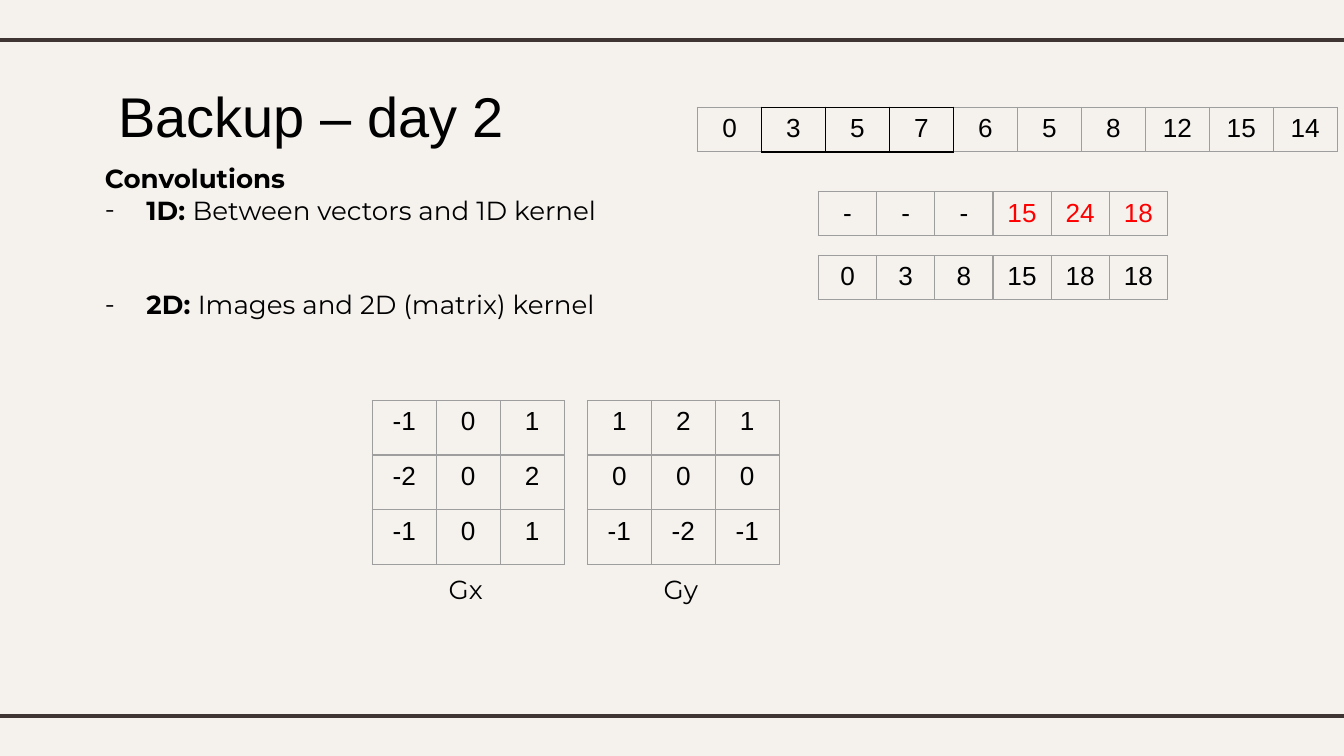
"""Build the backup slide on 1D and 2D convolutions."""
from dataclasses import dataclass

from lxml.etree import SubElement
from pptx import Presentation
from pptx.dml.color import RGBColor
from pptx.enum.shapes import MSO_CONNECTOR
from pptx.enum.text import MSO_ANCHOR, MSO_AUTO_SIZE, PP_ALIGN
from pptx.oxml.ns import qn
from pptx.util import Inches, Pt


@dataclass(frozen=True)
class Theme:
    background: str = "F5F2EE"
    rule: str = "3F3533"
    text: str = "000000"
    accent: str = "FF0000"
    grid: str = "9E9E9E"
    title_font: str = "Arial"
    body_font: str = "Montserrat"
    title_size: int = 30
    body_size: int = 14
    rule_width: float = 2.25
    grid_width: float = 0.75
    window_width: float = 1


THEME = Theme()
UNIT = Inches(10) // 100
COLUMNS, ROWS = 100, 56.25
INDENT = 3.1
RULE_ROWS = (3, 53.3)
RULE_OVERHANG = 0.8
WIDE, NARROW = 4.76, 4.33
STRIP_HEIGHT, MATRIX_HEIGHT = 3.3, 4.06

TITLE = "Backup – day 2"
TITLE_BOX = (7.8, 5.1, 49, 6.3)
BODY_BOX = (6.8, 11.1, 54.2, 15)
BODY = [
    ("Convolutions", "", False, 0),
    ("1D: ", "Between vectors and 1D kernel", True, 0),
    ("2D: ", "Images and 2D (matrix) kernel", True, 34),
]
STRIPS = [
    (51.9, 8, WIDE, [0, 3, 5, 7, 6, 5, 8, 12, 15, 14], ()),
    (60.9, 14.25, NARROW, ["-", "-", "-", 15, 24, 18], (3, 4, 5)),
    (60.9, 19, NARROW, [0, 3, 8, 15, 18, 18], ()),
]
WINDOW_START, WINDOW_CELLS = 1, 3
MATRIX_LEFT, MATRIX_TOP, MATRIX_STEP = 27.7, 29.8, 16
LABEL_OFFSET, LABEL_TOP = 4.7, 41.7
MATRICES = {
    "Gx": [[-1, 0, 1], [-2, 0, 2], [-1, 0, 1]],
    "Gy": [[1, 2, 1], [0, 0, 0], [-1, -2, -1]],
}


def units(*values):
    return [round(value * UNIT) for value in values]


def add_run(paragraph, text, font=THEME.body_font, size=THEME.body_size, color=THEME.text, bold=False):
    run = paragraph.add_run()
    run.text = text
    run.font.name, run.font.size, run.font.bold = font, Pt(size), bold
    run.font.color.rgb = RGBColor.from_string(color)


def prepare_frame(shape, box):
    shape.left, shape.top, shape.width, shape.height = units(*box)
    frame = shape.text_frame
    frame.word_wrap, frame.auto_size = True, MSO_AUTO_SIZE.NONE
    frame.vertical_anchor = MSO_ANCHOR.TOP
    frame.margin_left = frame.margin_right = frame.margin_top = frame.margin_bottom = UNIT
    return frame


def set_bullet(paragraph, bulleted):
    properties = paragraph._p.get_or_add_pPr()
    indent = units(INDENT)[0] if bulleted else 0
    properties.set("marL", str(indent))
    properties.set("indent", str(-indent))
    if bulleted:
        SubElement(properties, qn("a:buFont"), typeface=THEME.body_font)
        SubElement(properties, qn("a:buChar"), char="-")
    else:
        SubElement(properties, qn("a:buNone"))


def set_borders(cell, color, width):
    properties = cell._tc.get_or_add_tcPr()
    for position, side in enumerate(("a:lnL", "a:lnR", "a:lnT", "a:lnB")):
        line = SubElement(properties, qn(side), w=str(Pt(width)))
        SubElement(SubElement(line, qn("a:solidFill")), qn("a:srgbClr"), val=color)
        properties.insert(position, line)


def add_grid(slide, left, top, column, row, values, red=(), border=THEME.grid, width=THEME.grid_width):
    rows, columns = len(values), len(values[0])
    box = units(left, top, column * columns, row * rows)
    table = slide.shapes.add_table(rows, columns, *box).table
    table.first_row = table.horz_banding = False
    for row_index, row_values in enumerate(values):
        for column_index, value in enumerate(row_values):
            cell = table.cell(row_index, column_index)
            cell.fill.background()
            set_borders(cell, border, width)
            if value is None:
                cell.margin_top = cell.margin_bottom = 0
                continue
            paragraph = cell.text_frame.paragraphs[0]
            paragraph.alignment = PP_ALIGN.CENTER
            color = THEME.accent if column_index in red else THEME.text
            add_run(paragraph, str(value), THEME.title_font, color=color)


def add_rule(slide, row):
    start, end, height = units(-RULE_OVERHANG, COLUMNS + RULE_OVERHANG, row)
    rule = slide.shapes.add_connector(MSO_CONNECTOR.STRAIGHT, start, height, end, height)
    rule.line.color.rgb = RGBColor.from_string(THEME.rule)
    rule.line.width = Pt(THEME.rule_width)
    SubElement(rule._element.spPr, qn("a:effectLst"))


def main():
    presentation = Presentation()
    presentation.slide_width, presentation.slide_height = units(COLUMNS, ROWS)
    slide = presentation.slides.add_slide(presentation.slide_layouts[1])
    slide.background.fill.solid()
    slide.background.fill.fore_color.rgb = RGBColor.from_string(THEME.background)
    for row in RULE_ROWS:
        add_rule(slide, row)

    title = prepare_frame(slide.shapes.title, TITLE_BOX).paragraphs[0]
    title.alignment = PP_ALIGN.LEFT
    add_run(title, TITLE, THEME.title_font, THEME.title_size)

    body = prepare_frame(slide.placeholders[1], BODY_BOX)
    for index, (lead, rest, bulleted, space) in enumerate(BODY):
        paragraph = body.add_paragraph() if index else body.paragraphs[0]
        paragraph.space_before = Pt(space)
        set_bullet(paragraph, bulleted)
        add_run(paragraph, lead, bold=True)
        if rest:
            add_run(paragraph, rest)

    for left, top, column, values, red in STRIPS:
        add_grid(slide, left, top, column, STRIP_HEIGHT, [values], red)
    left, top, column = STRIPS[0][:3]
    add_grid(slide, left + WINDOW_START * column, top, column, STRIP_HEIGHT,
             [[None] * WINDOW_CELLS], border=THEME.text, width=THEME.window_width)

    for index, (name, values) in enumerate(MATRICES.items()):
        left = MATRIX_LEFT + index * MATRIX_STEP
        add_grid(slide, left, MATRIX_TOP, WIDE, MATRIX_HEIGHT, values)
        box = (left + LABEL_OFFSET, LABEL_TOP, 4.9, 4)
        label = slide.shapes.add_textbox(*units(*box))
        add_run(prepare_frame(label, box).paragraphs[0], name)

    presentation.save("out.pptx")


if __name__ == "__main__":
    main()
